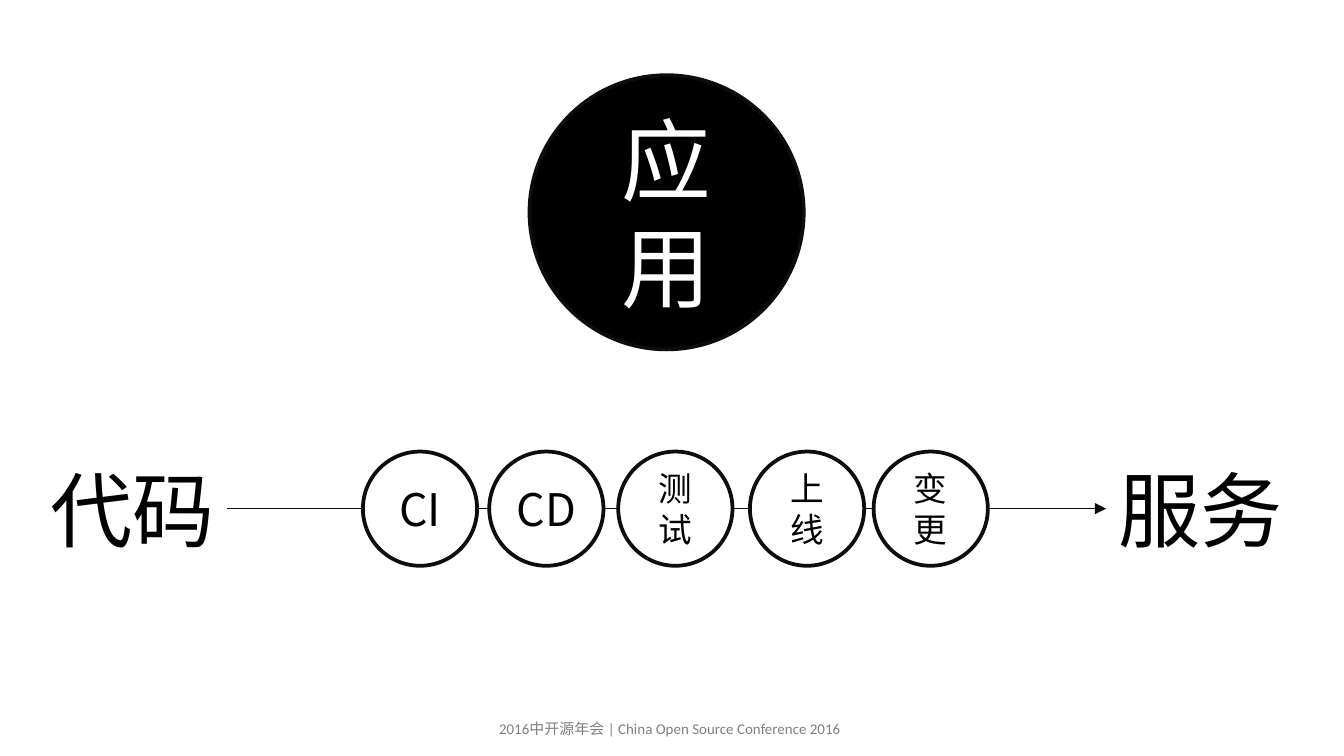
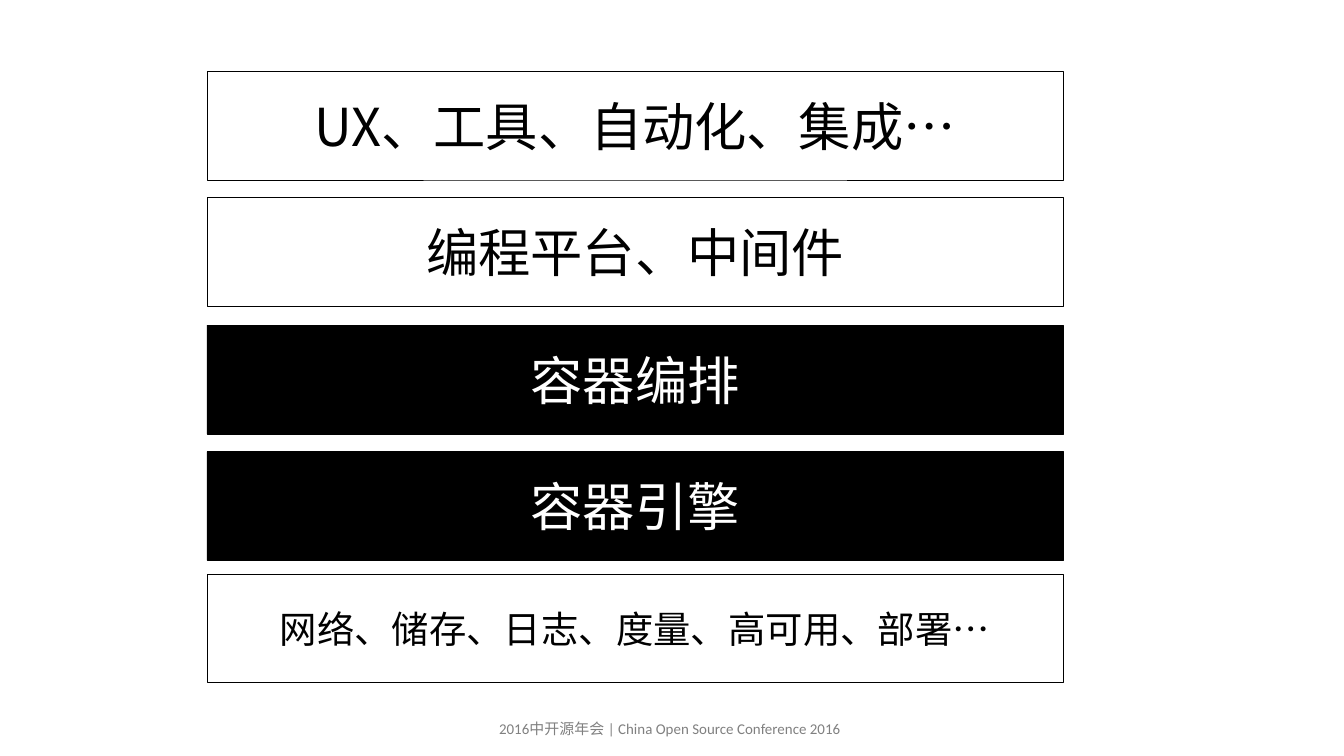
from dataclasses import dataclass

from lxml import etree
from pptx import Presentation
from pptx import util as u
from pptx.dml.color import RGBColor
from pptx.enum import shapes, text
from pptx.oxml.ns import qn

UNIT = 0.1  # inches per grid column and row


@dataclass(frozen=True)
class Theme:
    black: str = "000000"
    outline: str = "0D0D0D"
    white: str = "FFFFFF"
    grey: str = "808080"
    font: str = "Noto Sans CJK SC"
    footer_font: str = "Calibri"
    hero: int = 48
    endpoint: int = 44
    layer: int = 28
    latin_stage: int = 24
    base_layer: int = 20
    stage: int = 18
    footer: int = 8
    ring: float = 2
    arrow: float = 0.75
    border: float = 0.25


@dataclass(frozen=True)
class Box:
    """A region measured in grid columns and rows."""
    left: float
    top: float
    width: float
    height: float

    def inner(self, left, top, width, height):
        return Box(self.left + left, self.top + top, width, height)

    def lengths(self):
        return [grid(n) for n in (self.left, self.top, self.width, self.height)]


THEME = Theme()
PAGE = Box(0, 0, 100, 56.25)


def grid(count):
    return u.Inches(count * UNIT)


def rgb(value):
    return RGBColor.from_string(value)


def write(shape, lines, size, color, font=THEME.font, wrap=True):
    frame = shape.text_frame
    frame.word_wrap = wrap
    frame.vertical_anchor = text.MSO_ANCHOR.MIDDLE
    frame.text = lines
    for paragraph in frame.paragraphs:
        paragraph.alignment = text.PP_ALIGN.CENTER
        paragraph.font.size = u.Pt(size)
        paragraph.font.name = font
        paragraph.font.color.rgb = rgb(color)
        # East Asian typeface
        defaults = paragraph._p.pPr.find(qn("a:defRPr"))
        etree.SubElement(defaults, qn("a:ea"), typeface=THEME.font)


def add_label(slide, box, words, size, color, font=THEME.font):
    write(slide.shapes.add_textbox(*box.lengths()), words, size, color, font)


def add_block(slide, kind, box, fill, line, weight):
    shape = slide.shapes.add_shape(kind, *box.lengths())
    shape.shadow.inherit = False
    if fill:
        shape.fill.solid()
        shape.fill.fore_color.rgb = rgb(fill)
    else:
        shape.fill.background()
    shape.line.color.rgb = rgb(line)
    shape.line.width = u.Pt(weight)
    return shape


def add_circle(slide, box, fill):
    return add_block(slide, shapes.MSO_SHAPE.OVAL, box, fill, THEME.outline, THEME.ring)


def add_arrow(slide, left, right, row):
    arrow = slide.shapes.add_connector(
        shapes.MSO_CONNECTOR.STRAIGHT, grid(left), grid(row), grid(right), grid(row))
    arrow.line.color.rgb = rgb(THEME.outline)
    arrow.line.width = u.Pt(THEME.arrow)
    etree.SubElement(arrow.line._get_or_add_ln(), qn("a:tailEnd"), type="triangle")
    etree.SubElement(arrow._element.spPr, qn("a:effectLst"))


def add_footer(slide, box):
    add_label(slide, box.inner(29.5, 52.7, 40.7, 3),
              "2016中开源年会 | China Open Source Conference 2016",
              THEME.footer, THEME.grey, THEME.footer_font)


def add_pipeline(slide, box):
    # Both ends of the pipeline
    for left, words in ((0, "代码"), (79.5, "服务")):
        add_label(slide, box.inner(left, 0, 15.7, box.height), words,
                  THEME.endpoint, THEME.black)
    add_arrow(slide, box.left + 14.9, box.left + 80.3, box.top + box.height / 2)

    # Stages along the arrow
    diameter = 8.5
    stages = (
        (25, "CI", THEME.latin_stage, True),
        (34.4, "CD", THEME.latin_stage, False),
        (44, "测试", THEME.stage, True),
        (53.8, "上线", THEME.stage, True),
        (63, "变更", THEME.stage, True),
    )
    for left, words, size, wrap in stages:
        spot = box.inner(left, (box.height - diameter) / 2, diameter, diameter)
        write(add_circle(slide, spot, THEME.white), words, size, THEME.black, wrap=wrap)


def add_application(slide, box):
    write(add_circle(slide, box, THEME.black), "应\n用", THEME.hero, THEME.white)


def add_layers(slide, box):
    # Layers from top to bottom: row, words, size, filled
    layers = (
        (0, "UX、工具、自动化、集成…", THEME.layer, False),
        (9.4, "编程平台、中间件", THEME.layer, False),
        (18.9, "容器编排", THEME.layer, True),
        (28.3, "容器引擎", THEME.layer, True),
        (37.4, "网络、储存、日志、度量、高可用、部署…", THEME.base_layer, False),
    )
    for top, words, size, filled in layers:
        bar = add_block(slide, shapes.MSO_SHAPE.RECTANGLE,
                        box.inner(0, top, box.width, 8.1),
                        THEME.black if filled else None, THEME.black, THEME.border)
        write(bar, words, size, THEME.white if filled else THEME.black)


def new_slide(presentation):
    slide = presentation.slides.add_slide(presentation.slide_layouts[6])
    slide.background.fill.solid()
    slide.background.fill.fore_color.rgb = rgb(THEME.white)
    add_footer(slide, PAGE)
    return slide


def build_application_slide(presentation):
    slide = new_slide(presentation)
    add_pipeline(slide, PAGE.inner(2, 31.8, 95.2, 12.1))
    add_application(slide, PAGE.inner(39.4, 5.6, 20.4, 20.4))


def build_stack_slide(presentation):
    slide = new_slide(presentation)
    add_layers(slide, PAGE.inner(15.4, 5.3, 63.7, 45.5))


def main():
    presentation = Presentation()
    presentation.slide_width = grid(PAGE.width)
    presentation.slide_height = grid(PAGE.height)
    build_application_slide(presentation)
    build_stack_slide(presentation)
    presentation.save("out.pptx")


if __name__ == "__main__":
    main()
